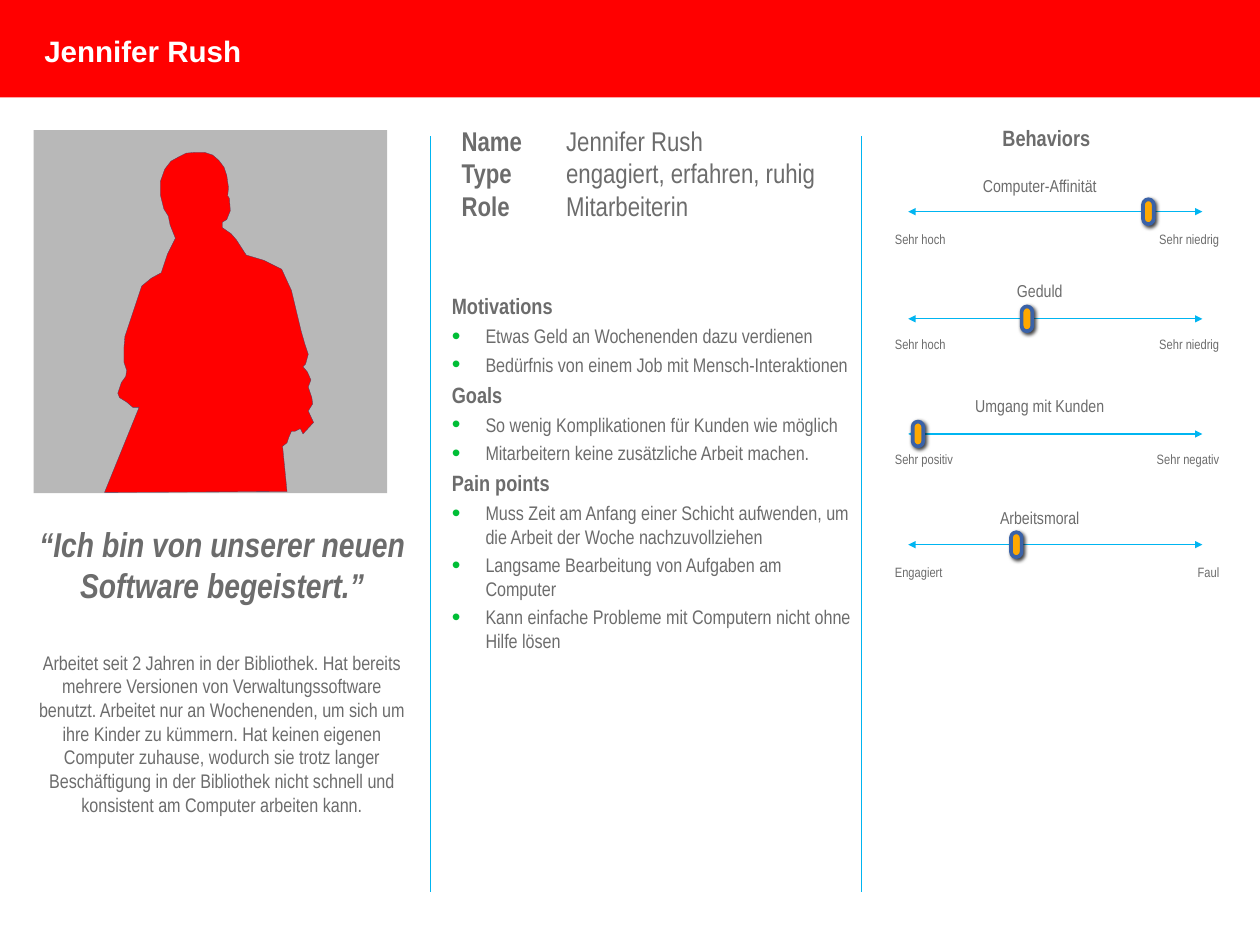
from lxml import etree
from pptx import Presentation
from pptx.dml.color import RGBColor
from pptx.enum.shapes import MSO_CONNECTOR, MSO_SHAPE
from pptx.enum.text import MSO_ANCHOR, PP_ALIGN
from pptx.oxml.ns import qn
from pptx.util import Emu, Pt

PX = 9144  # 100 px to the inch
WIDTH, HEIGHT = 1422, 1067
RED, GREY, CYAN, PANEL = "FF0000", "6C6C6C", "00B5F1", "B8B8B8"
ORANGE, BLUE, GREEN, WHITE = "FFA800", "3A62A8", "00BE36", "FFFFFF"
LEFT, CENTER, RIGHT = PP_ALIGN.LEFT, PP_ALIGN.CENTER, PP_ALIGN.RIGHT

# Outline of the person, relative to the portrait panel
PERSON = [
    (80, 409), (119, 313), (112, 313), (105, 307), (97, 302), (95, 297), (99, 285),
    (104, 278), (105, 271), (102, 262), (102, 245), (103, 233), (122, 176), (133, 167),
    (144, 161), (151, 140), (160, 122), (154, 107), (152, 97), (147, 89), (143, 73),
    (143, 58), (148, 44), (155, 35), (164, 30), (172, 26), (182, 25), (193, 25),
    (202, 28), (209, 34), (215, 42), (218, 51), (220, 65), (219, 74), (221, 77),
    (222, 91), (218, 101), (213, 104), (213, 110), (223, 117), (229, 124), (240, 141),
    (260, 147), (280, 157), (291, 181), (302, 227), (306, 241), (310, 253), (307, 264),
    (304, 267), (309, 273), (313, 282), (310, 290), (314, 302), (315, 309), (310, 317),
    (316, 330), (304, 343), (301, 337), (295, 340), (291, 340), (288, 347), (286, 353),
    (281, 357), (286, 408),
]
QUOTE = "“Ich bin von unserer neuen Software begeistert.”"
STORY = (
    "Arbeitet seit 2 Jahren in der Bibliothek. Hat bereits mehrere Versionen von "
    "Verwaltungssoftware benutzt. Arbeitet nur an Wochenenden, um sich um ihre Kinder "
    "zu kümmern. Hat keinen eigenen Computer zuhause, wodurch sie trotz langer "
    "Beschäftigung in der Bibliothek nicht schnell und konsistent am Computer arbeiten kann."
)
FACTS = [("Name", "Jennifer Rush"), ("Type", "engagiert, erfahren, ruhig"),
         ("Role", "Mitarbeiterin")]
SECTIONS = [
    ("Motivations", ["Etwas Geld an Wochenenden dazu verdienen",
                     "Bedürfnis von einem Job mit Mensch-Interaktionen"]),
    ("Goals", ["So wenig Komplikationen für Kunden wie möglich",
               "Mitarbeitern keine zusätzliche Arbeit machen."]),
    ("Pain points", ["Muss Zeit am Anfang einer Schicht aufwenden, um die Arbeit der Woche "
                     "nachzuvollziehen",
                     "Langsame Bearbeitung von Aufgaben am Computer",
                     "Kann einfache Probleme mit Computern nicht ohne Hilfe lösen"]),
]
# Title, left end, right end, top, axis offset, knob position on the axis
SLIDERS = [
    ("Computer-Affinität", "Sehr hoch", "Sehr niedrig", 58, 41, 271),
    ("Geduld", "Sehr hoch", "Sehr niedrig", 176, 44, 134),
    ("Umgang mit Kunden", "Sehr positiv", "Sehr negativ", 306, 44, 11),
    ("Arbeitsmoral", "Engagiert", "Faul", 433, 42, 122),
]


def px(*values):
    return [Emu(v * PX) for v in values]


def color(hex_string):
    return RGBColor.from_string(hex_string)


def sub(parent, tag, **attrs):
    return etree.SubElement(parent, qn(tag), attrs)


def add_run(p, text, size, bold=False, italic=False, font="Arial Narrow", fill=GREY):
    r = p.add_run()
    r.text = text
    r.font.name, r.font.size = font, Pt(size)
    r.font.bold, r.font.italic = bold, italic
    r.font.color.rgb = color(fill)


def add_frame(s, x, y, w, h, wrap=True):
    tf = s.shapes.add_textbox(*px(x, y, w, h)).text_frame
    tf.margin_left = tf.margin_top = tf.margin_right = tf.margin_bottom = 0
    tf.vertical_anchor = MSO_ANCHOR.MIDDLE
    tf.word_wrap = wrap
    return tf


def add_label(s, x, y, w, h, text, size, align=CENTER, wrap=True, **style):
    p = add_frame(s, x, y, w, h, wrap).paragraphs[0]
    p.alignment = align
    add_run(p, text, size, **style)


def paint(sp, fill, line=None, weight=1):
    sp.shadow.inherit = False
    sp.fill.solid()
    sp.fill.fore_color.rgb = color(fill)
    if line:
        sp.line.color.rgb = color(line)
        sp.line.width = Pt(weight)
    else:
        sp.line.fill.background()


def add_box(s, kind, x, y, w, h, *style):
    sp = s.shapes.add_shape(kind, *px(x, y, w, h))
    paint(sp, *style)
    return sp


def add_line(s, x1, y1, x2, y2, arrows=False):
    c = s.shapes.add_connector(MSO_CONNECTOR.STRAIGHT, *px(x1, y1, x2, y2))
    c.line.color.rgb = color(CYAN)
    c.line.width = Pt(1)
    if arrows:
        ln = c.line._get_or_add_ln()
        sub(ln, "a:headEnd", type="triangle")
        sub(ln, "a:tailEnd", type="triangle")
    sub(c._element.spPr, "a:effectLst")


def paragraphs(tf, count):
    return [tf.paragraphs[0]] + [tf.add_paragraph() for _ in range(count - 1)]


def add_header(s, x, y, w, h):
    add_box(s, MSO_SHAPE.RECTANGLE, x, y, w, h, RED)
    add_label(s, x + 50, y + 37, 229, 40, "Jennifer Rush", 24, LEFT, False,
              bold=True, font="Arial", fill=WHITE)


def add_portrait(s, x, y, w, h):
    add_box(s, MSO_SHAPE.RECTANGLE, x, y, w, h, PANEL)
    outline = s.shapes.build_freeform(*PERSON[0], scale=float(PX))
    outline.add_line_segments(PERSON[1:], close=True)
    paint(outline.convert_to_shape(*px(x, y)), RED, "524265", 0.25)


def add_story(s, x, y, w):
    add_label(s, x, y, w, 94, QUOTE, 28, bold=True, italic=True)
    add_label(s, x, y + 144, w, 188, STORY, 16)


def add_facts(s, x, y, w, h):
    tf = add_frame(s, x, y, w, h)
    for p, (key, value) in zip(paragraphs(tf, len(FACTS)), FACTS):
        tabs = sub(p._p.get_or_add_pPr(), "a:tabLst")
        sub(tabs, "a:tab", pos=str(118 * PX), algn="l")
        add_run(p, key + "\t", 22, bold=True)
        add_run(p, value, 22)


def add_sections(s, x, y, w, h):
    tf = add_frame(s, x, y, w, h)
    rows = [(text, text == title) for title, items in SECTIONS for text in [title] + items]
    for i, (p, (text, is_title)) in enumerate(zip(paragraphs(tf, len(rows)), rows)):
        p.space_before = Pt(4 if i else 11)
        add_run(p, text, 18 if is_title else 16, bold=is_title)
        if not is_title:
            pPr = p._p.get_or_add_pPr()
            pPr.set("marL", str(38 * PX))
            pPr.set("indent", str(-38 * PX))
            sub(sub(pPr, "a:buClr"), "a:srgbClr", val=GREEN)
            sub(pPr, "a:buSzPct", val="125000")
            sub(pPr, "a:buFont", typeface="Arial")
            sub(pPr, "a:buChar", char="•")


def add_knob(s, cx, cy):
    w, h = 12, 28
    sp = add_box(s, MSO_SHAPE.ROUNDED_RECTANGLE, cx - w // 2, cy - h // 2, w, h,
                 ORANGE, BLUE, 3)
    sp.adjustments[0] = 0.5
    effects = sp._element.spPr.find(qn("a:effectLst"))
    shadow = sub(effects, "a:outerShdw", blurRad=str(Pt(3)), dist=str(Pt(2)),
                 dir="2700000", algn="tl", rotWithShape="0")
    sub(sub(shadow, "a:srgbClr", val="000000"), "a:alpha", val="75000")


def add_behaviors(s, x, y, w):
    add_label(s, x + 1, y, 346, 30, "Behaviors", 18, bold=True)
    for title, low, high, top, axis, knob in SLIDERS:
        top += y
        add_label(s, x, top, 333, 24, title, 14)
        add_label(s, x + 3, top + 63, 156, 19, low, 11, LEFT)
        add_label(s, x + w - 172, top + 63, 172, 19, high, 11, RIGHT)
        add_line(s, x + 18, top + axis, x + 350, top + axis, arrows=True)
        add_knob(s, x + 18 + knob, top + axis)


def main():
    prs = Presentation()
    prs.slide_width, prs.slide_height = px(WIDTH, HEIGHT)
    s = prs.slides.add_slide(prs.slide_layouts[6])
    # Header band
    add_header(s, 0, 0, WIDTH, 110)
    # Left column
    add_portrait(s, 38, 147, 399, 410)
    add_story(s, 36, 590, 429)
    # Middle column
    add_facts(s, 521, 140, 488, 111)
    add_sections(s, 510, 328, 453, 411)
    # Right column
    add_behaviors(s, 1007, 140, 369)
    # Column dividers
    for x in (486, 972):
        add_line(s, x, 154, x, 1007)
    prs.save("out.pptx")


if __name__ == "__main__":
    main()
